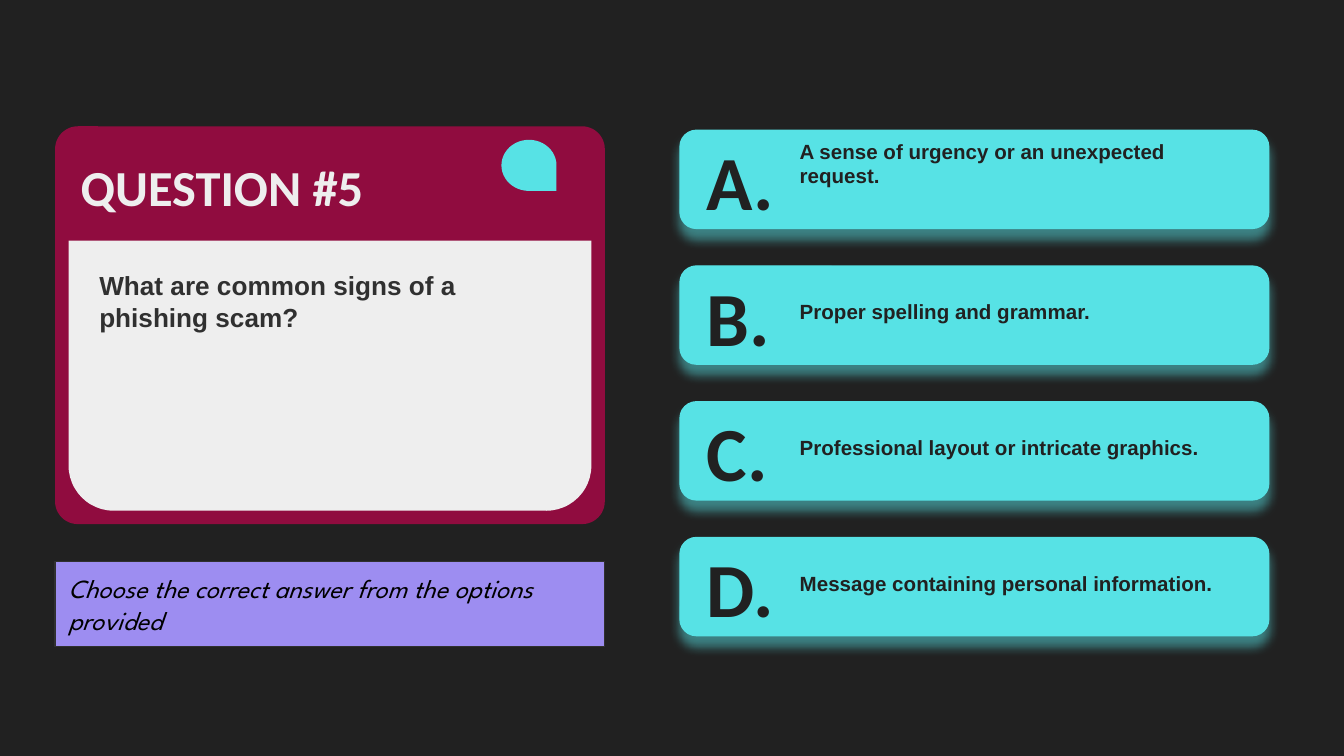
from lxml import etree
from pptx import Presentation
from pptx.dml.color import RGBColor
from pptx.enum.shapes import MSO_SHAPE
from pptx.enum.text import MSO_ANCHOR, MSO_AUTO_SIZE, PP_ALIGN
from pptx.oxml.ns import qn
from pptx.util import Inches, Pt

RECT = MSO_SHAPE.RECTANGLE
ROUNDED = MSO_SHAPE.ROUNDED_RECTANGLE
ROUND_TWO = MSO_SHAPE.ROUND_2_SAME_RECTANGLE
TEARDROP = MSO_SHAPE.TEAR
TOP, MIDDLE, BOTTOM = MSO_ANCHOR.TOP, MSO_ANCHOR.MIDDLE, MSO_ANCHOR.BOTTOM
GROW, FIXED = MSO_AUTO_SIZE.SHAPE_TO_FIT_TEXT, MSO_AUTO_SIZE.NONE
LEFT = PP_ALIGN.LEFT

DARK, PALE, GREY, BLACK = "212121", "EEEEEE", "303030", "000000"
WINE, CYAN, VIOLET = "900C3F", "57E2E5", "9D8DF1"

SLIDE_W = 10
SLIDE_H = SLIDE_W * 9 / 16

# Two columns: the question card on the left, the answers on the right
CARD_X, CARD_Y, CARD_W, CARD_H = 0.41, 0.94, 4.09, 2.96
CARD_MARGIN = 0.1
ANSWER_X, ANSWER_Y, ANSWER_W, ANSWER_H = 5.06, 0.97, 4.38, 0.73
ANSWER_PITCH = 1.01
TIGHT, ROOMY = (0, 0.04), (0.1, 0.1)

ANSWERS = [
    ("A.", "A sense of urgency or an unexpected request."),
    ("B.", "Proper spelling and grammar."),
    ("C.", "Professional layout or intricate graphics."),
    ("D.", "Message containing personal information."),
]


def color(hex_code):
    return RGBColor.from_string(hex_code)


def place(shape, x, y, w, h):
    shape.left, shape.top = Inches(x), Inches(y)
    shape.width, shape.height = Inches(w), Inches(h)


def write(shape, text, *, size, font, ink, bold=False, italic=False,
          anchor=BOTTOM, insets=TIGHT, fit=GROW, spacing=None, after=None):
    frame = shape.text_frame
    frame.word_wrap = True
    frame.auto_size = fit
    frame.vertical_anchor = anchor
    frame.margin_left = frame.margin_right = Inches(insets[0])
    frame.margin_top = frame.margin_bottom = Inches(insets[1])
    paragraph = frame.paragraphs[0]
    paragraph.alignment = LEFT
    if spacing is not None:
        paragraph.line_spacing = spacing
    if after is not None:
        paragraph.space_after = Pt(after)
    run = paragraph.add_run()
    run.text = text
    run.font.size, run.font.name = Pt(size), font
    run.font.bold, run.font.italic = bold, italic
    run.font.color.rgb = color(ink)


def add_text(slide, box, text, **text_format):
    label = slide.shapes.add_textbox(*map(Inches, box))
    write(label, text, **text_format)


def add_panel(slide, kind, box, fill, line=None, adjustments=(), rotation=0):
    panel = slide.shapes.add_shape(kind, *map(Inches, box))
    panel.shadow.inherit = False
    panel.rotation = rotation
    for index, value in enumerate(adjustments):
        panel.adjustments[index] = value
    panel.fill.solid()
    panel.fill.fore_color.rgb = color(fill)
    if line:
        panel.line.color.rgb = color(line)
        panel.line.width = Pt(0.75)
    else:
        panel.line.fill.background()
    return panel


def add_glow_below(panel, hex_code):
    """Cast a soft half-transparent shadow straight down."""
    effects = panel.element.spPr.find(qn("a:effectLst"))
    shadow = etree.SubElement(
        effects, qn("a:outerShdw"), blurRad=str(Pt(5.6)), dist=str(Pt(5.2)),
        dir=str(90 * 60000), algn="bl", rotWithShape="0")
    tint = etree.SubElement(shadow, qn("a:srgbClr"), val=hex_code)
    etree.SubElement(tint, qn("a:alpha"), val="50000")


def add_hint(slide):
    hint = add_panel(slide, RECT, (CARD_X, 4.18, CARD_W, 0.63), VIOLET, GREY)
    write(hint, "Choose the correct answer from the options provided",
          size=14, font="League Spartan", ink=BLACK, italic=True,
          anchor=MIDDLE, insets=ROOMY, fit=FIXED)


def add_question_card(slide):
    add_panel(slide, ROUNDED, (CARD_X, CARD_Y, CARD_W, CARD_H), WINE,
              adjustments=[0.057])
    body_h = 2.01
    body_y = CARD_Y + CARD_H - CARD_MARGIN - body_h
    add_panel(slide, ROUND_TWO,
              (CARD_X + CARD_MARGIN, body_y, CARD_W - 2 * CARD_MARGIN, body_h),
              PALE, adjustments=[0.167, 0], rotation=180)
    drop = add_panel(slide, TEARDROP,
                     (3.73, CARD_Y + CARD_MARGIN, 0.41, 0.38), CYAN,
                     adjustments=[1], rotation=180)
    drop.element.spPr.find(qn("a:xfrm")).set("flipH", "1")

    title = slide.shapes.title
    place(title, 0.6, 1.12, 2.32, 0.53)
    write(title, "QUESTION #5", size=27, font="Calibri", ink=PALE, bold=True)
    title.element.getparent().append(title.element)  # in front of the card

    add_text(slide, (0.64, body_y + CARD_MARGIN, 3.65, 1.7),
             "What are common signs of a phishing scam?",
             size=14, font="Arial", ink=GREY, bold=True, anchor=TOP,
             insets=ROOMY, fit=FIXED, spacing=1.05, after=12)


def add_answer(slide, row, letter, answer):
    y = ANSWER_Y + row * ANSWER_PITCH
    bar = add_panel(slide, ROUNDED, (ANSWER_X, y, ANSWER_W, ANSWER_H),
                    CYAN, CYAN, adjustments=[0.167])
    add_glow_below(bar, CYAN)
    add_text(slide, (ANSWER_X + 0.89, y + 0.21, 3.35, 0.26), answer,
             size=11, font="Arial", ink=DARK, bold=True)
    add_text(slide, (ANSWER_X + 0.2, y - 0.02, 0.51, 0.77), letter,
             size=41, font="Calibri", ink=DARK, bold=True)


def main():
    deck = Presentation()
    deck.slide_width, deck.slide_height = Inches(SLIDE_W), Inches(SLIDE_H)
    title_only = deck.slide_layouts[5]
    slide = deck.slides.add_slide(title_only)
    slide.background.fill.solid()
    slide.background.fill.fore_color.rgb = color(DARK)

    add_hint(slide)
    add_question_card(slide)
    for row, (letter, answer) in enumerate(ANSWERS):
        add_answer(slide, row, letter, answer)
    deck.save("out.pptx")


if __name__ == "__main__":
    main()
